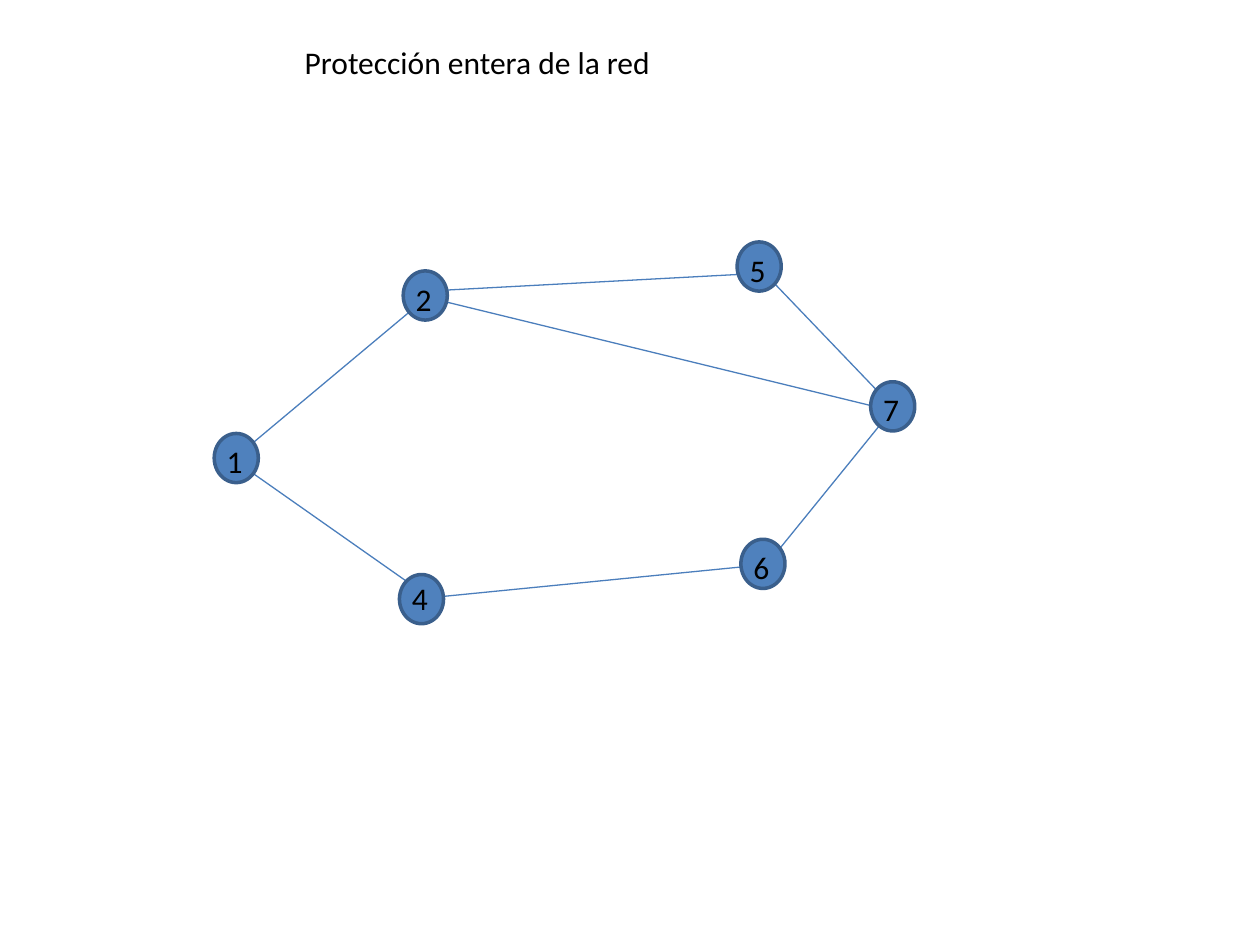
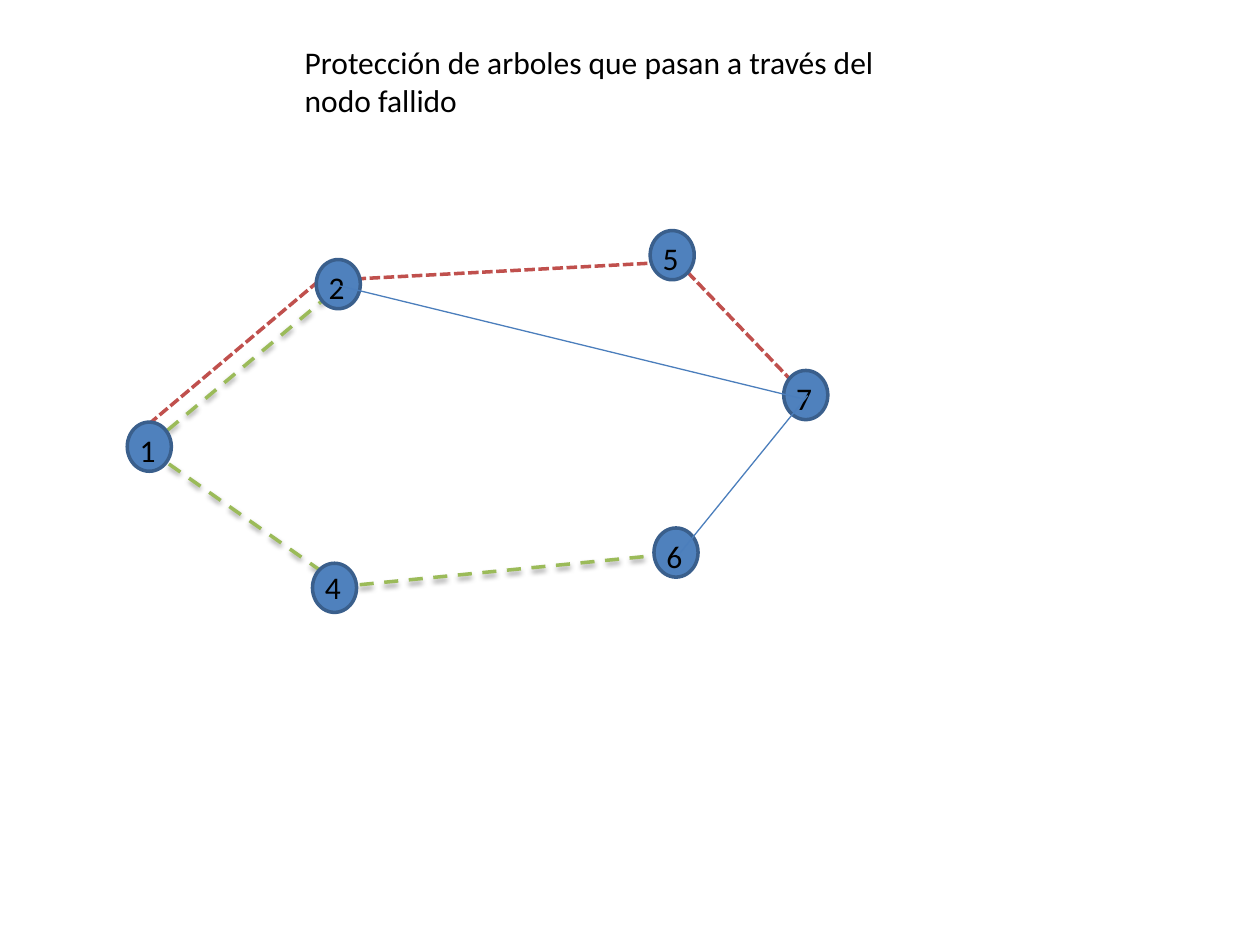
import pptx
import pptx.util
import pptx.dml.color
import pptx.enum.dml
import pptx.enum.shapes
import pptx.enum.text
import pptx.oxml.ns
from lxml import etree

COLORS = {"node": "4F81BD", "rim": "3A5F8C", "link": "4B7EBC", "red": "C0504D",
          "green": "9BBB59", "text": "000000", "shadow": "000000"}
FONT, SIZE = "Calibri", 18
WIDTH, HEIGHT = 10, 7.5
NODE_W, NODE_H = 0.35, 0.39
NODES = {"1": (1.7, 3.44, 0.02), "2": (3.2, 2.15, 0.02), "4": (3.17, 4.56, -0.01),
         "6": (5.88, 4.28, 0.02), "5": (5.85, 1.92, 0.02), "7": (6.91, 3.03, 0.02)}
LINKS = {"6-7": (7.1, 3.23, 6.07, 4.5), "2-7": (3.35, 2.35, 7.08, 3.26),
         "2-5": (3.4, 2.31, 6.02, 2.17), "1-2": (1.87, 3.63, 3.4, 2.35),
         "5-7": (6.07, 2.17, 6.98, 3.12), "4-6": (3.35, 4.75, 5.88, 4.5),
         "1-4": (1.87, 3.66, 3.35, 4.7), "1-2 outer": (1.7, 3.6, 3.22, 2.32)}
DASH = pptx.enum.dml.MSO_LINE
STYLES = {"plain": ("link", 0.75, None, False),
          "tree": ("red", 2, DASH.SQUARE_DOT, False),
          "backup": ("green", 2, DASH.DASH, True)}


def inches(*values):
    """Convert grid units of one inch to slide lengths."""
    return [pptx.util.Inches(v) for v in values]


def rgb(name):
    """Look up a named colour."""
    return pptx.dml.color.RGBColor.from_string(COLORS[name])


def add_text(shapes, text, x, y, w, h):
    """Add a left-aligned text box that grows with its text."""
    tf = shapes.add_textbox(*inches(x, y, w, h)).text_frame
    tf.word_wrap = True
    tf.auto_size = pptx.enum.text.MSO_AUTO_SIZE.SHAPE_TO_FIT_TEXT
    r = tf.paragraphs[0].add_run()
    r.text = text
    r.font.name, r.font.size = FONT, pptx.util.Pt(SIZE)
    r.font.color.rgb = rgb("text")


def add_node(shapes, label, origin):
    """Add a network node with its number."""
    x, y, drop = NODES[label]
    x, y = x + origin[0], y + origin[1]
    sp = shapes.add_shape(pptx.enum.shapes.MSO_SHAPE.OVAL, *inches(x, y, NODE_W, NODE_H))
    sp.shadow.inherit = False
    sp.fill.solid()
    sp.fill.fore_color.rgb = rgb("node")
    sp.line.color.rgb = rgb("rim")
    sp.line.width = pptx.util.Pt(2)
    add_text(shapes, label, x, y + drop, 0.38, 0.4)


def set_effects(sp, shadowed):
    """Replace the theme shadow with a soft drop shadow or none."""
    qn = pptx.oxml.ns.qn
    effects = etree.SubElement(sp._element.spPr, qn("a:effectLst"))
    if shadowed:
        shadow = etree.SubElement(effects, qn("a:outerShdw"), blurRad=str(pptx.util.Pt(3.1)),
                                  dist=str(pptx.util.Pt(1.6)), dir="5400000", rotWithShape="0")
        color = etree.SubElement(shadow, qn("a:srgbClr"), val=COLORS["shadow"])
        etree.SubElement(color, qn("a:alpha"), val="38000")


def add_link(shapes, name, style, origin):
    """Add a link between two nodes in the given style."""
    x1, y1, x2, y2 = LINKS[name]
    dx, dy = origin
    color, width, dash, shadowed = STYLES[style]
    sp = shapes.add_connector(pptx.enum.shapes.MSO_CONNECTOR.STRAIGHT,
                              *inches(x1 + dx, y1 + dy, x2 + dx, y2 + dy))
    sp.line.color.rgb = rgb(color)
    sp.line.width = pptx.util.Pt(width)
    if dash:
        sp.line.dash_style = dash
    set_effects(sp, shadowed)


def add_network(prs, title, title_h, origin, under, over=()):
    """Add a slide with a title and a grouped network graph."""
    s = prs.slides.add_slide(prs.slide_layouts[6])
    shapes = s.shapes.add_group_shape().shapes
    for name, style in under:
        add_link(shapes, name, style, origin)
    for label in NODES:
        add_node(shapes, label, origin)
    for name, style in over:
        add_link(shapes, name, style, origin)
    add_text(s.shapes, title, 2.32, 0.29, 4.72, title_h)


def main():
    """Build the two network slides."""
    prs = pptx.Presentation()
    prs.slide_width, prs.slide_height = inches(WIDTH, HEIGHT)
    add_network(prs, "Protección entera de la red", 0.4, (0, 0),
                [(name, "plain") for name in LINKS if name != "1-2 outer"])
    add_network(prs, "Protección de arboles que pasan a través del nodo fallido", 0.71,
                (-0.69, -0.09),
                [("1-2 outer", "tree"), ("2-5", "tree"), ("1-2", "backup"),
                 ("5-7", "tree"), ("4-6", "backup"), ("1-4", "backup")],
                [("2-7", "plain"), ("6-7", "plain")])
    prs.save("out.pptx")


main()
